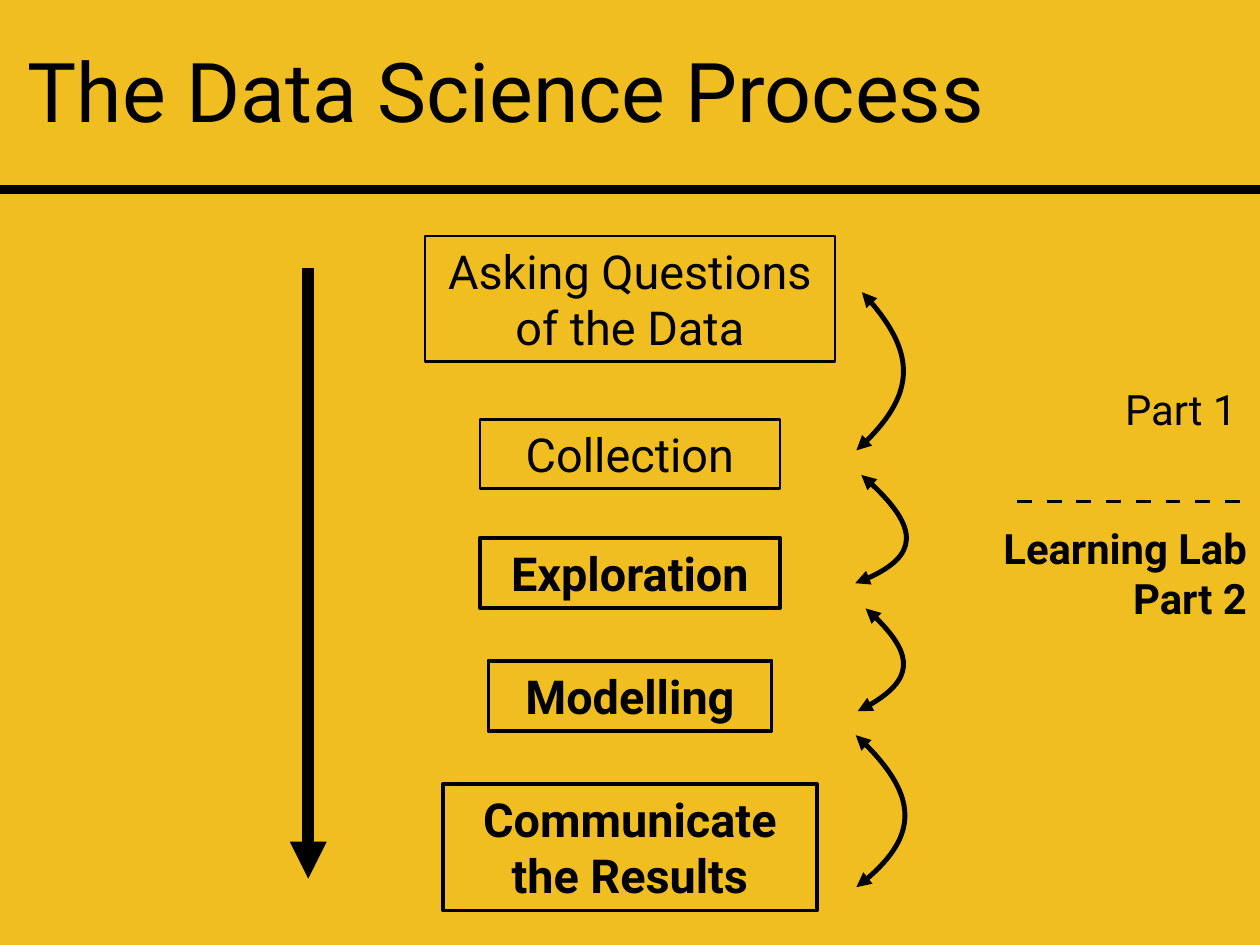
from dataclasses import dataclass

from lxml.etree import SubElement
from pptx import Presentation
from pptx.dml.color import RGBColor
from pptx.enum.shapes import MSO_CONNECTOR, MSO_SHAPE
from pptx.enum.text import MSO_ANCHOR, MSO_AUTO_SIZE, PP_ALIGN
from pptx.oxml.ns import qn
from pptx.util import Pt


@dataclass(frozen=True)
class Theme:
    font: str = "Roboto"
    background: RGBColor = RGBColor(0xF0, 0xBE, 0x21)
    ink: RGBColor = RGBColor(0, 0, 0)
    title_size: int = 67
    step_size: int = 38
    part_size: int = 34
    inset: int = 4


def write_text(frame, text, theme, size, bold=False, align=PP_ALIGN.CENTER, wrap=True):
    frame.text = text
    frame.word_wrap = wrap
    frame.auto_size = MSO_AUTO_SIZE.NONE
    frame.vertical_anchor = MSO_ANCHOR.MIDDLE
    frame.margin_left = frame.margin_right = Pt(theme.inset)
    frame.margin_top = frame.margin_bottom = Pt(theme.inset)
    for paragraph in frame.paragraphs:
        paragraph.alignment = align
        for run in paragraph.runs:
            run.font.name = theme.font
            run.font.size = Pt(size)
            run.font.bold = bold
            run.font.color.rgb = theme.ink


class ProcessSlide:
    def __init__(self, slide, theme):
        self.slide = slide
        self.theme = theme
        slide.background.fill.solid()
        slide.background.fill.fore_color.rgb = theme.background

    def title(self, text, left, top, width, height):
        heading = self.slide.shapes.title
        heading.left, heading.top = Pt(left), Pt(top)
        heading.width, heading.height = Pt(width), Pt(height)
        write_text(heading.text_frame, text, self.theme, self.theme.title_size, wrap=False)

    def stroke(self, shape, weight, heads=(), dash=None):
        shape.line.color.rgb = self.theme.ink
        shape.line.width = Pt(weight)
        outline = shape._element.spPr.find(qn("a:ln"))
        if dash:
            pattern = SubElement(outline, qn("a:custDash"))
            SubElement(pattern, qn("a:ds"), d=str(dash * 100000), sp=str(dash * 100000))
        for head in heads:
            SubElement(outline, qn(f"a:{head}"), type="triangle")

    def step(self, text, center, top, width, height, weight, bold):
        box = self.slide.shapes.add_shape(
            MSO_SHAPE.RECTANGLE, Pt(center - width / 2), Pt(top), Pt(width), Pt(height))
        box.shadow.inherit = False
        box.fill.background()
        self.stroke(box, weight)
        write_text(box.text_frame, text, self.theme, self.theme.step_size, bold=bold)

    def line(self, start, end, weight, heads=(), dash=None):
        rule = self.slide.shapes.add_connector(
            MSO_CONNECTOR.STRAIGHT, *map(Pt, start), *map(Pt, end))
        self.stroke(rule, weight, heads, dash)
        SubElement(rule._element.spPr, qn("a:effectLst"))

    def loop(self, start, bend_out, bend_back, end, weight):
        apex = [(a + 3 * b + 3 * c + d) / 8
                for a, b, c, d in zip(start, bend_out, bend_back, end)]
        builder = self.slide.shapes.build_freeform(*map(Pt, start))
        builder.add_line_segments([tuple(map(Pt, apex)), tuple(map(Pt, end))], close=False)
        arc = builder.convert_to_shape()
        arc.shadow.inherit = False
        arc.fill.background()
        outline = arc._element.spPr.find(".//" + qn("a:path"))
        for segment in outline.findall(qn("a:lnTo")):
            outline.remove(segment)
        curve = SubElement(outline, qn("a:cubicBezTo"))
        for x, y in (bend_out, bend_back, end):
            SubElement(curve, qn("a:pt"), x=str(Pt(x) - arc.left), y=str(Pt(y) - arc.top))
        self.stroke(arc, weight, ("headEnd", "tailEnd"))

    def label(self, text, left, top, width, height, bold=False, wrap=True):
        caption = self.slide.shapes.add_textbox(Pt(left), Pt(top), Pt(width), Pt(height))
        write_text(caption.text_frame, text, self.theme, self.theme.part_size,
                   bold=bold, align=PP_ALIGN.RIGHT, wrap=wrap)


STEPS = [
    ("Asking Questions of the Data", 192, 333, 102, 2, False),
    ("Collection", 341, 244, 56, 2, False),
    ("Exploration", 437, 244, 57, 3, True),
    ("Modelling", 537, 230, 57, 3, True),
    ("Communicate the Results", 637, 304, 103, 3, True),
]

LOOPS = [
    ((696, 366), (743, 325), (744.5, 283), (700.5, 237.5)),
    ((695, 474), (746, 456), (747.5, 426), (700, 386)),
    ((697, 578), (741.5, 557), (744, 529), (703.5, 494.5)),
    ((696, 721), (746, 684), (746, 643), (695.5, 597.5)),
]


def main():
    deck = Presentation()
    deck.slide_width, deck.slide_height = Pt(1024), Pt(768)
    process = ProcessSlide(deck.slides.add_slide(deck.slide_layouts[5]), Theme())

    process.title("The Data Science Process", 10, 29, 802, 88)
    process.line((0, 154), (1024, 154), 7)
    for text, top, width, height, weight, bold in STEPS:
        process.step(text, 512, top, width, height, weight, bold)
    process.line((250.5, 217.5), (250.5, 714), 10, heads=("tailEnd",))
    for points in LOOPS:
        process.loop(*points, weight=4)

    process.label("Part 1", 752, 308, 257, 49)
    process.line((826.5, 407.5), (1011, 407.5), 2, dash=6)
    process.label("Learning Lab\nPart 2", 785.5, 420.5, 232, 90, bold=True, wrap=False)

    deck.save("out.pptx")


if __name__ == "__main__":
    main()
